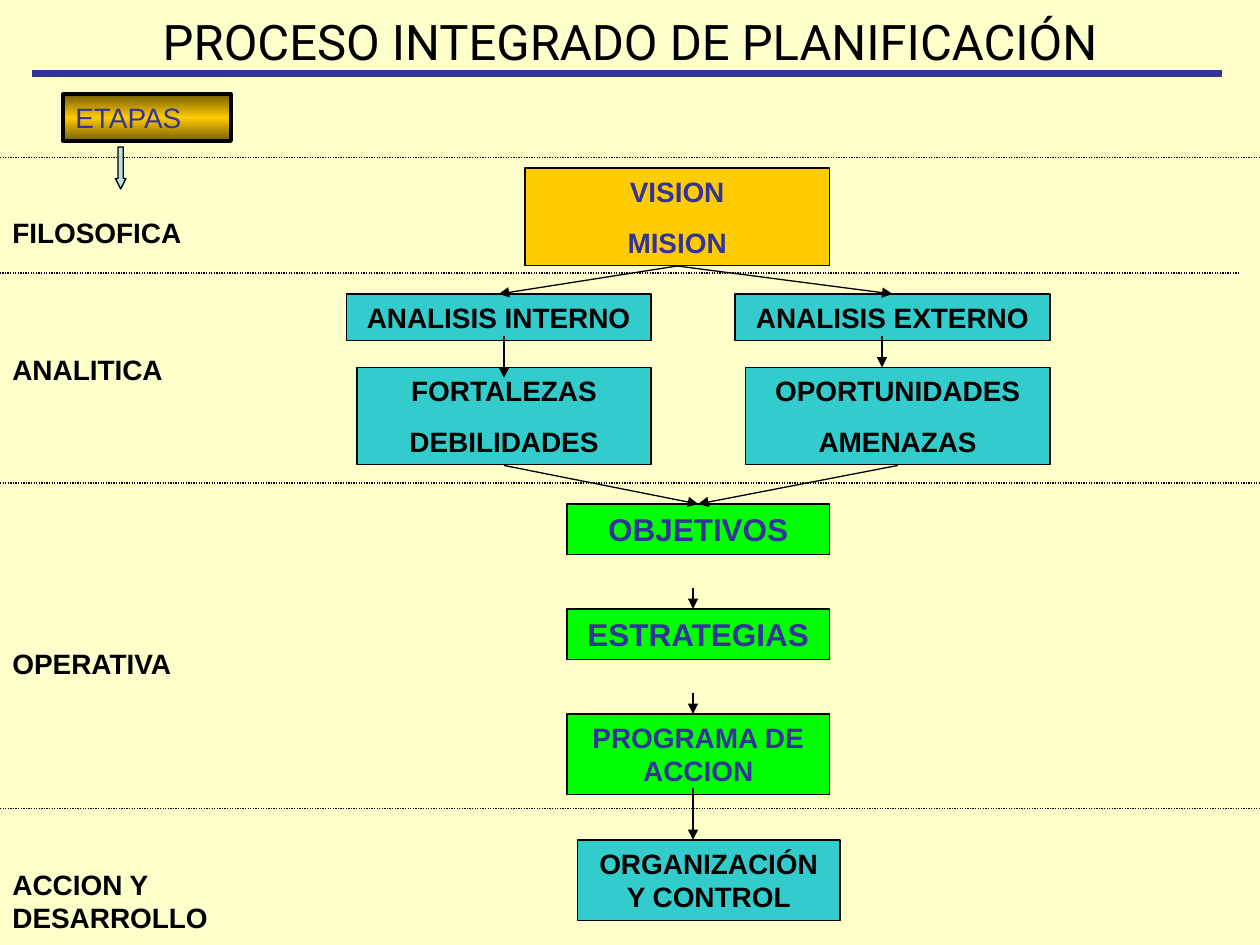
from copy import deepcopy

from lxml import etree
from pptx import Presentation
from pptx.dml.color import RGBColor
from pptx.enum.dml import MSO_LINE
from pptx.enum.shapes import MSO_CONNECTOR, MSO_SHAPE
from pptx.enum.text import MSO_ANCHOR, MSO_AUTO_SIZE, PP_ALIGN
from pptx.oxml.ns import qn
from pptx.util import Pt

CENTER, LEFT = PP_ALIGN.CENTER, PP_ALIGN.LEFT
TOP, BOTTOM = MSO_ANCHOR.TOP, MSO_ANCHOR.BOTTOM
FIT = MSO_AUTO_SIZE.SHAPE_TO_FIT_TEXT
RECTANGLE, DOWN_ARROW = MSO_SHAPE.RECTANGLE, MSO_SHAPE.DOWN_ARROW
STRAIGHT, DOTTED = MSO_CONNECTOR.STRAIGHT, MSO_LINE.ROUND_DOT

CREAM, BLACK, NAVY = "FFFFCC", "000000", "333399"
GOLD, DARK_GOLD, TEAL, GREEN, PALE_BLUE = "FFCC00", "765E00", "33CCCC", "00FF00", "BBE0E3"
ONE_LINE, LARGE_LINE, WRAPPED, TWO_PARAGRAPHS = 26.6, 29, 46, 55.6

BOXES = [
    (["VISION", "MISION"], 300, 96, 174, TWO_PARAGRAPHS, GOLD, NAVY, 16),
    (["ANALISIS INTERNO"], 198, 168, 174, ONE_LINE, TEAL, BLACK, 16),
    (["ANALISIS EXTERNO"], 420, 168, 180, ONE_LINE, TEAL, BLACK, 16),
    (["FORTALEZAS", "DEBILIDADES"], 204, 210, 168, TWO_PARAGRAPHS, TEAL, BLACK, 16),
    (["OPORTUNIDADES", "AMENAZAS"], 426, 210, 174, TWO_PARAGRAPHS, TEAL, BLACK, 16),
    (["OBJETIVOS"], 324, 288, 150, LARGE_LINE, GREEN, NAVY, 18),
    (["ESTRATEGIAS"], 324, 348, 150, LARGE_LINE, GREEN, NAVY, 18),
    (["PROGRAMA DE ACCION"], 324, 408, 150, WRAPPED, GREEN, NAVY, 16),
    (["ORGANIZACIÓN Y CONTROL"], 330, 480, 150, WRAPPED, TEAL, BLACK, 16),
]
STAGES = [
    ("FILOSOFICA", 119.5, 150, ONE_LINE),
    ("ANALITICA", 198, 150, ONE_LINE),
    ("OPERATIVA", 366, 132, ONE_LINE),
    ("ACCION Y DESARROLLO", 492, 168, WRAPPED),
]
DIVIDERS = [(0, 90), (-12, 156), (0, 276), (0, 462)]
ARROWS = [
    (387, 152, 285, 168), (387, 152, 510, 168),
    (288, 266, 399, 288), (513, 266, 399, 288),
    (288, 192, 288, 216), (504, 192, 504, 210),
    (396, 336, 396, 348), (396, 396, 396, 408), (396, 450, 396, 480),
]


def color(value):
    """Turn a hex string into a colour."""
    return RGBColor.from_string(value)


def apply_format(target, values):
    """Set each attribute named in a dict of format values."""
    for name, value in values.items():
        setattr(target, name, value)


def write_text(shape, texts, size, text_color, bold=True, align=CENTER,
               font="Arial", anchor=TOP, inset=(7.2, 3.6), gap=0.625):
    """Fill a shape with paragraphs in one format."""
    frame = shape.text_frame
    horizontal, vertical = map(Pt, inset)
    apply_format(frame, {
        "word_wrap": True, "auto_size": FIT, "vertical_anchor": anchor,
        "margin_left": horizontal, "margin_right": horizontal,
        "margin_top": vertical, "margin_bottom": vertical,
    })
    for index, text in enumerate(texts):
        paragraph = frame.add_paragraph() if index else frame.paragraphs[0]
        apply_format(paragraph, {"alignment": align, "space_before": Pt(size * gap)})
        run = paragraph.add_run()
        run.text = text
        apply_format(run.font, {"name": font, "size": Pt(size), "bold": bold})
        run.font.color.rgb = color(text_color)


def add_box(slide, left, top, width, height, fill, kind=RECTANGLE, weight=0.75):
    """Add an outlined shape with a plain fill."""
    shape = slide.shapes.add_shape(kind, Pt(left), Pt(top), Pt(width), Pt(height))
    shape.shadow.inherit = False
    shape.fill.solid()
    shape.fill.fore_color.rgb = color(fill)
    shape.line.color.rgb = color(BLACK)
    shape.line.width = Pt(weight)
    return shape


def add_label(slide, left, top, width, height, text, **text_format):
    """Add a text box."""
    box = slide.shapes.add_textbox(Pt(left), Pt(top), Pt(width), Pt(height))
    write_text(box, [text], **text_format)


def add_line(slide, points, line_color=BLACK, weight=0.75, dash=None, arrow=False):
    """Add a straight line, dashed or with an arrowhead if asked."""
    connector = slide.shapes.add_connector(STRAIGHT, *map(Pt, points))
    connector.line.color.rgb = color(line_color)
    apply_format(connector.line, {"width": Pt(weight), "dash_style": dash})
    properties = connector._element.spPr
    etree.SubElement(properties, qn("a:effectLst"))
    if arrow:
        etree.SubElement(properties.find(qn("a:ln")), qn("a:tailEnd"), type="triangle")


def set_gradient(shape, stops):
    """Give a shape a vertical gradient with three stops."""
    shape.fill.gradient()
    shape.fill.gradient_angle = 270
    stop_list = shape._element.spPr.find(".//" + qn("a:gsLst"))
    stop_list.append(deepcopy(stop_list[-1]))
    for stop, (position, value) in zip(shape.fill.gradient_stops, stops):
        stop.position = position
        stop.color.rgb = color(value)


def add_header(slide):
    """Add the title, its rule and the stages heading."""
    add_line(slide, (18, 42, 698.4, 42), NAVY, 4.5)
    add_label(slide, 0, 6, 720, 34, "PROCESO INTEGRADO DE PLANIFICACIÓN",
              size=28, text_color=BLACK, bold=False, font="Roboto",
              anchor=BOTTOM, inset=(0, 0), gap=0)
    heading = add_box(slide, 36, 54, 96, ONE_LINE, GOLD, weight=2.25)
    set_gradient(heading, [(0, DARK_GOLD), (0.5, GOLD), (1, DARK_GOLD)])
    write_text(heading, ["ETAPAS"], 16, NAVY, bold=False, align=LEFT)


def main():
    """Build and save the planning process slide."""
    presentation = Presentation()
    apply_format(presentation, {"slide_width": Pt(720), "slide_height": Pt(540)})
    slide = presentation.slides.add_slide(presentation.slide_layouts[6])
    slide.background.fill.solid()
    slide.background.fill.fore_color.rgb = color(CREAM)

    add_header(slide)
    for texts, left, top, width, height, fill, text_color, size in BOXES:
        box = add_box(slide, left, top, width, height, fill)
        write_text(box, texts, size, text_color)
    for left, top in DIVIDERS:
        add_line(slide, (left, top, left + 720, top), dash=DOTTED)
    for text, top, width, height in STAGES:
        add_label(slide, 0, top, width, height, text,
                  size=16, text_color=BLACK, align=LEFT)
    stage_arrow = add_box(slide, 66, 84, 6, 24, PALE_BLUE, DOWN_ARROW)
    stage_arrow.adjustments[1] = 1
    for points in ARROWS:
        add_line(slide, points, arrow=True)

    presentation.save("out.pptx")


if __name__ == "__main__":
    main()
